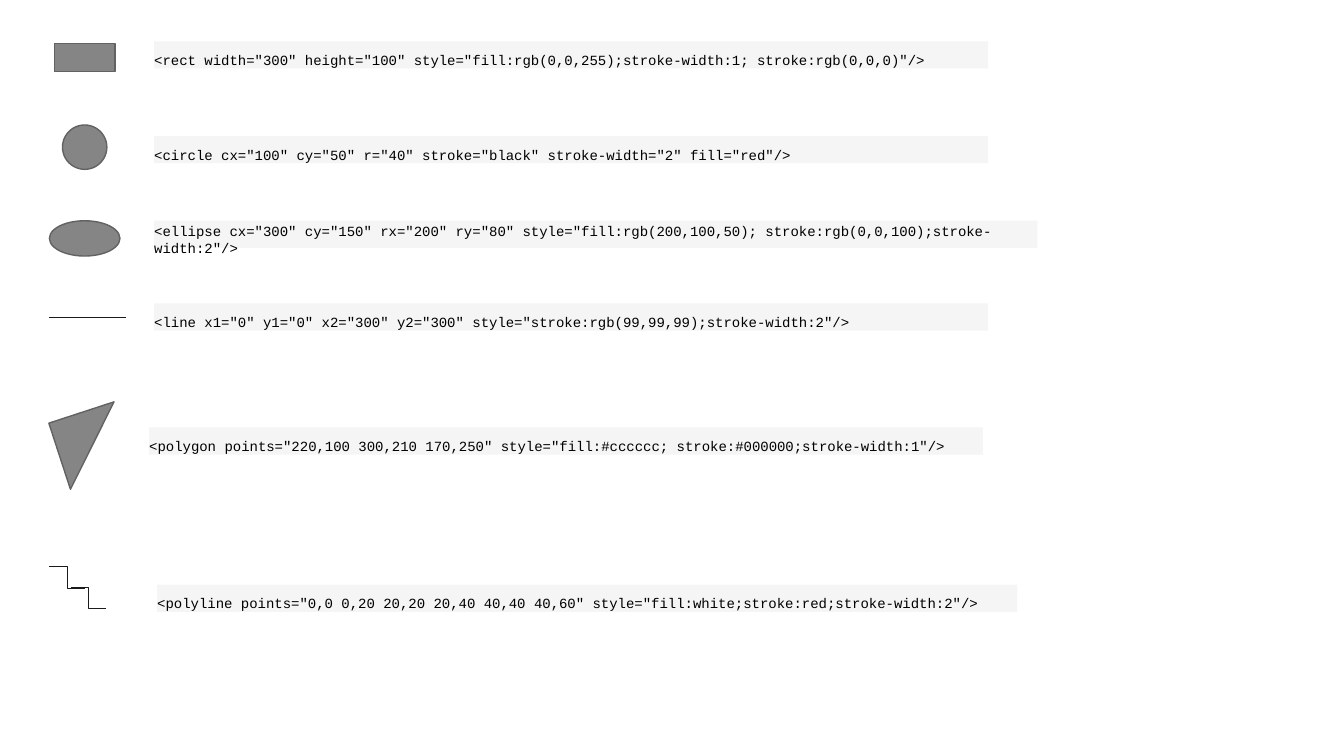
from lxml import etree
from pptx import Presentation
from pptx.dml.color import RGBColor
from pptx.enum.shapes import MSO_CONNECTOR, MSO_SHAPE
from pptx.enum.text import MSO_ANCHOR, MSO_AUTO_SIZE, PP_ALIGN
from pptx.oxml.ns import qn
from pptx.util import Emu, Pt

RECTANGLE = MSO_SHAPE.RECTANGLE
OVAL = MSO_SHAPE.OVAL
RIGHT_TRIANGLE = MSO_SHAPE.RIGHT_TRIANGLE
STRAIGHT = MSO_CONNECTOR.STRAIGHT
ELBOW = MSO_CONNECTOR.ELBOW
MIDDLE = MSO_ANCHOR.MIDDLE
NO_AUTOFIT = MSO_AUTO_SIZE.NONE
LEFT = PP_ALIGN.LEFT

EMU_PER_PX = 9144
CODE_HEIGHT = 27

SAMPLES = [
    (153, 41, 827, '<rect width="300" height="100" style="fill:rgb(0,0,255);stroke-width:1; stroke:rgb(0,0,0)"/>'),
    (153, 135, 827, '<circle cx="100" cy="50" r="40" stroke="black" stroke-width="2" fill="red"/>'),
    (153, 219, 876, '<ellipse cx="300" cy="150" rx="200" ry="80" style="fill:rgb(200,100,50); stroke:rgb(0,0,100);stroke-width:2"/>'),
    (153, 301, 827, '<line x1="0" y1="0" x2="300" y2="300" style="stroke:rgb(99,99,99);stroke-width:2"/>'),
    (148, 424, 827, '<polygon points="220,100 300,210 170,250" style="fill:#cccccc; stroke:#000000;stroke-width:1"/>'),
    (156, 580, 853, '<polyline points="0,0 0,20 20,20 20,40 40,40 40,60" style="fill:white;stroke:red;stroke-width:2"/>'),
]

FIGURES = [
    (RECTANGLE, 54, 43, 60, 28, 0),
    (OVAL, 62, 124, 44, 44, 0),
    (OVAL, 49, 219, 70, 35, 0),
    (RIGHT_TRIANGLE, 57, 408, 69, 68, 71.9),
]

STROKES = [
    (STRAIGHT, 49, 315, 125, 315),
    (ELBOW, 49, 562, 84, 584),
    (ELBOW, 70, 583, 105, 604),
]


def px(length):
    return Emu(length * EMU_PER_PX)


def color(hex_code):
    return RGBColor.from_string(hex_code)


def write(frame, text, font, size, ink, align=LEFT):
    paragraph = frame.paragraphs[0]
    paragraph.alignment = align
    run = paragraph.add_run()
    run.text = text
    run.font.name = font
    run.font.size = Pt(size)
    run.font.color.rgb = color(ink)


class SvgSlide:
    figure_fill = "858585"
    figure_line = "626262"
    stroke_line = "1B1B1B"
    code_fill = "F5F5F5"
    code_ink = "000000"
    code_font = "Courier New"

    def __init__(self, slide):
        self.slide = slide

    def shape(self, kind, left, top, width, height, fill):
        shape = self.slide.shapes.add_shape(kind, px(left), px(top), px(width), px(height))
        shape.shadow.inherit = False
        shape.fill.solid()
        shape.fill.fore_color.rgb = color(fill)
        return shape

    def figure(self, kind, left, top, width, height, rotation):
        figure = self.shape(kind, left, top, width, height, self.figure_fill)
        figure.line.color.rgb = color(self.figure_line)
        figure.line.width = Pt(1)
        figure.rotation = rotation

    def code(self, left, top, width, text):
        strip = self.shape(RECTANGLE, left, top, width, CODE_HEIGHT, self.code_fill)
        strip.line.fill.background()
        frame = strip.text_frame
        frame.word_wrap = True
        frame.auto_size = NO_AUTOFIT
        frame.vertical_anchor = MIDDLE
        frame.margin_left = frame.margin_right = frame.margin_bottom = 0
        frame.margin_top = px(10)
        write(frame, text, font=self.code_font, size=10, ink=self.code_ink)

    def stroke(self, kind, x1, y1, x2, y2):
        stroke = self.slide.shapes.add_connector(kind, px(x1), px(y1), px(x2), px(y2))
        stroke.line.color.rgb = color(self.stroke_line)
        stroke.line.width = Pt(0.5)
        etree.SubElement(stroke._element.spPr, qn("a:effectLst"))


def main():
    deck = Presentation()
    deck.slide_width, deck.slide_height = px(1333), px(750)
    svg = SvgSlide(deck.slides.add_slide(deck.slide_layouts[6]))
    for figure in FIGURES:
        svg.figure(*figure)
    for stroke in STROKES:
        svg.stroke(*stroke)
    for sample in SAMPLES:
        svg.code(*sample)
    deck.save("out.pptx")


if __name__ == "__main__":
    main()
